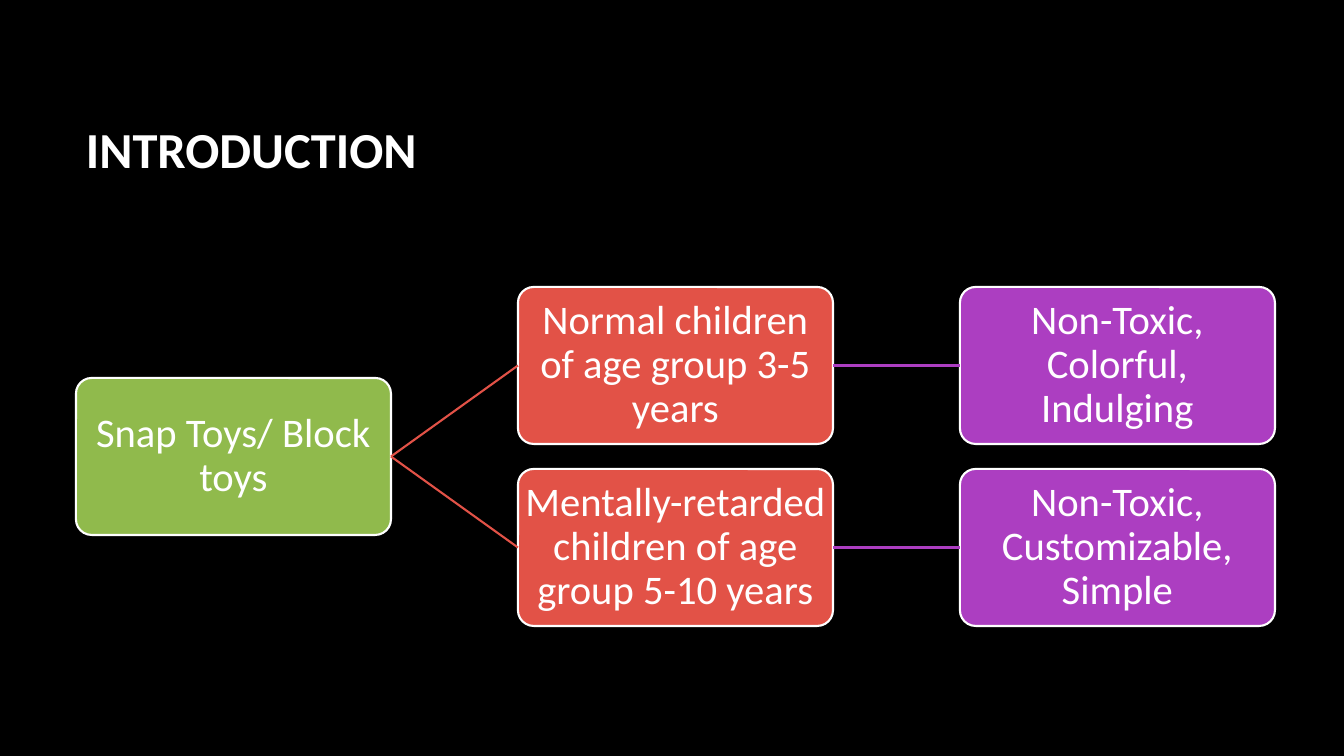
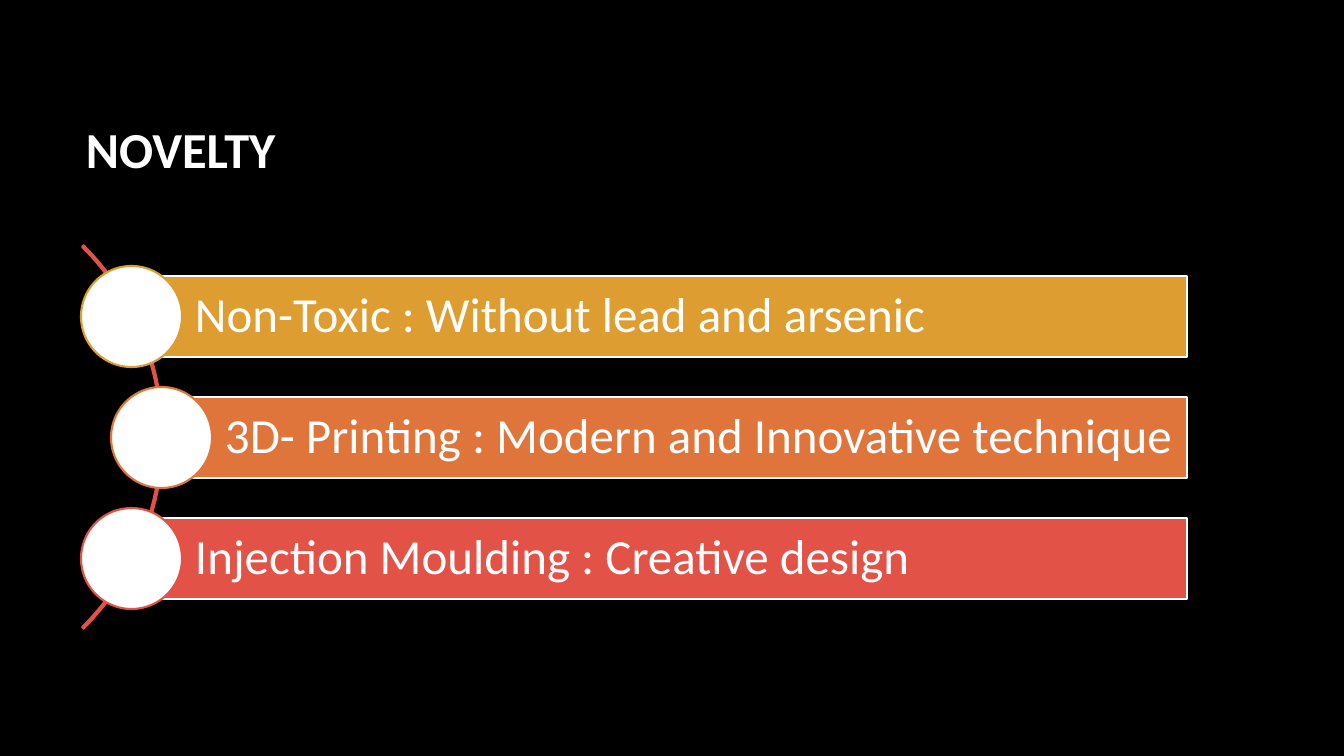
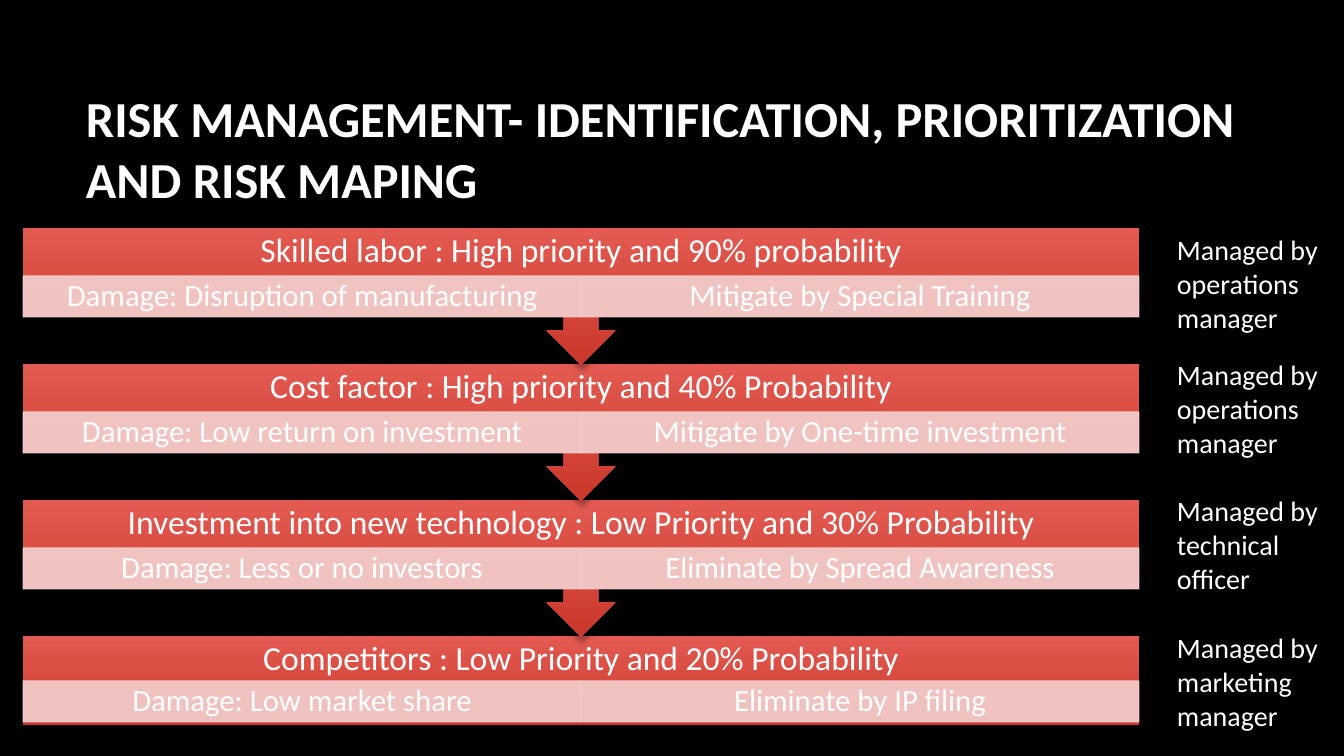
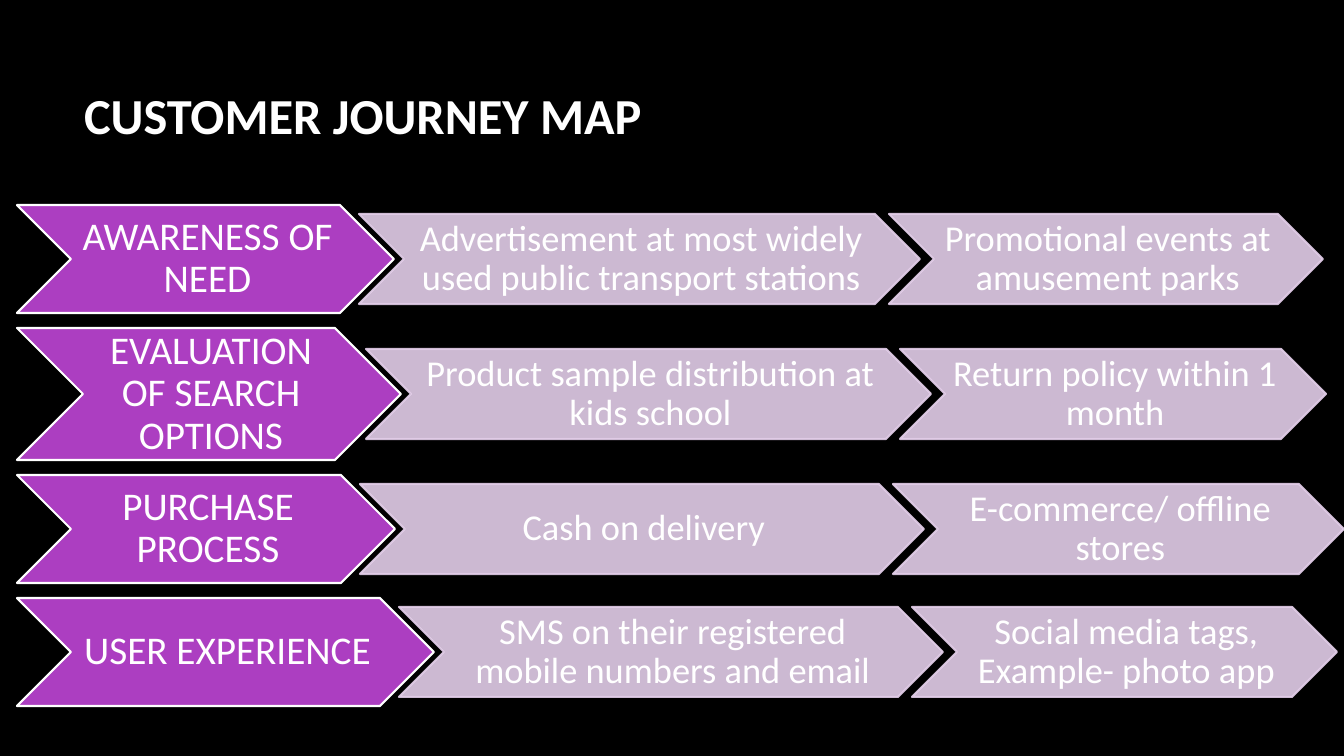
from lxml.etree import SubElement
from pptx import Presentation
from pptx.dml.color import RGBColor
from pptx.enum.shapes import MSO_CONNECTOR as Connector, MSO_SHAPE as Preset
from pptx.enum.text import MSO_ANCHOR as Anchor, MSO_AUTO_SIZE as AutoSize, PP_ALIGN as Align
from pptx.oxml.ns import qn
from pptx.util import Emu, Pt

FONT = "Calibri"
BLACK = RGBColor(0x00, 0x00, 0x00)
WHITE = RGBColor(0xFF, 0xFF, 0xFF)
GREEN = RGBColor(0x90, 0xBA, 0x4C)
RED = RGBColor(0xE2, 0x52, 0x47)
PURPLE = RGBColor(0xAC, 0x3E, 0xC1)
GOLD = RGBColor(0xDD, 0x9D, 0x31)
ORANGE = RGBColor(0xE0, 0x75, 0x3C)
LIGHT_RED = RGBColor(0xE3, 0x5A, 0x51)
DARK_RED = RGBColor(0xCB, 0x38, 0x2C)
PINK = RGBColor(0xF4, 0xD1, 0xCF)
LILAC = RGBColor(0xE3, 0xCE, 0xE9)
EMU_PER_INCH = 914400
PX_PER_INCH = 100.8
TITLE_BOX = (76, 68, 1117, 160)


def px(length):
    return Emu(round(length * EMU_PER_INCH / PX_PER_INCH))


def place(box):
    return [px(length) for length in box]


def write_text(shape, text, *, size, bold=False, align=Align.LEFT, anchor=Anchor.MIDDLE,
               insets=(10, 5, 10, 5), spacing=0.9):
    frame = shape.text_frame
    frame.word_wrap = True
    frame.auto_size = AutoSize.NONE
    frame.vertical_anchor = anchor
    frame.margin_left, frame.margin_top, frame.margin_right, frame.margin_bottom = place(insets)
    para = frame.paragraphs[0]
    para.alignment = align
    para.line_spacing = spacing
    span = para.add_run()
    span.text = text
    span.font.name = FONT
    span.font.size = Pt(size)
    span.font.bold = bold
    span.font.color.rgb = WHITE


def add_page(deck, title, box=TITLE_BOX):
    page = deck.slides.add_slide(deck.slide_layouts[5])
    heading = page.shapes.title
    heading.left, heading.top, heading.width, heading.height = place(box)
    write_text(heading, title, size=36, bold=True, spacing=1.0)
    return page


def add_preset(page, preset, box, *, fill=None, line=None, weight=1.5, opacity=100):
    shape = page.shapes.add_shape(preset, *place(box))
    shape.shadow.inherit = False
    if fill is None:
        shape.fill.background()
    else:
        shape.fill.solid()
        shape.fill.fore_color.rgb = fill
    if line is None:
        shape.line.fill.background()
    else:
        shape.line.color.rgb = line
        shape.line.width = Pt(weight)
    if opacity < 100:
        for colour in list(shape._element.spPr.iter(qn("a:srgbClr"))):
            SubElement(colour, qn("a:alpha"), val=str(opacity * 1000))
    return shape


def add_node(page, box, text, colour):
    node = add_preset(page, Preset.ROUNDED_RECTANGLE, box, fill=colour, line=WHITE)
    node.adjustments[0] = 0.1
    write_text(node, text, size=29, align=Align.CENTER, insets=(2, 2, 2, 2))
    return node


def add_branch(page, start, end, colour):
    branch = page.shapes.add_connector(Connector.STRAIGHT, 0, 0, 0, 0)
    branch.begin_connect(start, 3)
    branch.end_connect(end, 1)
    branch.line.color.rgb = colour
    branch.line.width = Pt(1.5)
    SubElement(branch._element.spPr, qn("a:effectLst"))


def add_tree(page, box, root_text, rows):
    left, top, width, height = box
    node_width, node_height = 315, 157
    column_step = (width - node_width) // 2
    row_step = (height - node_height) // (len(rows) - 1)

    def node_box(column, offset):
        return left + column * column_step, top + offset, node_width, node_height

    root = add_node(page, node_box(0, (height - node_height) // 2), root_text, GREEN)
    for index, (group_text, quality_text) in enumerate(rows):
        group = add_node(page, node_box(1, index * row_step), group_text, RED)
        quality = add_node(page, node_box(2, index * row_step), quality_text, PURPLE)
        add_branch(page, root, group, RED)
        add_branch(page, group, quality, PURPLE)


def add_arc_list(page, box, items):
    left, top, width, height = box
    circle, bar_height, arc_size = 101, 81, 542
    step = (height - circle) // (len(items) - 1)
    arc_box = (left - 460, top + (height - arc_size) // 2, arc_size, arc_size)
    arc = add_preset(page, Preset.BLOCK_ARC, arc_box, line=RED)
    for index, value in enumerate((189, 27, 0.004)):
        arc.adjustments[index] = value
    for index, (text, colour, indent) in enumerate(items):
        row_top = top + index * step
        bar_left = left + indent + circle // 2
        bar_box = (bar_left, row_top + (circle - bar_height) // 2, left + width - bar_left, bar_height)
        bar = add_preset(page, Preset.RECTANGLE, bar_box, fill=colour, line=WHITE, weight=2)
        write_text(bar, text, size=35, insets=(64, 10, 10, 10))
        add_preset(page, Preset.OVAL, (left + indent, row_top, circle, circle), fill=WHITE, line=colour)


def add_risk(page, box, risk, effects, *, is_last):
    left, top, width, height = box
    preset = Preset.RECTANGLE if is_last else Preset.DOWN_ARROW_CALLOUT
    panel_height = 89 if is_last else height
    panel = add_preset(page, preset, (left, top, width, panel_height), fill=RED)
    panel.fill.gradient()
    panel.fill.gradient_angle = 270
    for stop, colour in zip(panel.fill.gradient_stops, (LIGHT_RED, DARK_RED)):
        stop.color.rgb = colour
    effect_list = panel._element.spPr.find(qn("a:effectLst"))
    shadow = SubElement(effect_list, qn("a:outerShdw"), blurRad=str(Pt(4)), dist=str(Pt(3)),
                        dir="5400000", rotWithShape="0")
    shade = SubElement(shadow, qn("a:srgbClr"), val=str(BLACK))
    SubElement(shade, qn("a:alpha"), val="35000")
    write_text(panel, risk, size=24, align=Align.CENTER, insets=(19, 0, 19, 41))
    half = width // 2
    effect_top = top + (45 if is_last else 48)
    for index, effect in enumerate(effects):
        cell = add_preset(page, Preset.RECTANGLE, (left + index * half, effect_top, half, 41),
                          fill=PINK, line=PINK, weight=0.75, opacity=90)
        write_text(cell, effect, size=22, align=Align.CENTER, insets=(17, 3, 17, 3))


def add_risk_chain(page, box, risks):
    left, top, width, step = box
    for index, (risk, *effects) in reversed(list(enumerate(risks))):
        add_risk(page, (left, top + index * step, width, step + 1), risk, effects,
                 is_last=index == len(risks) - 1)


def add_owner(page, box, text):
    owner = page.shapes.add_textbox(*place(box))
    write_text(owner, text, size=20, anchor=Anchor.TOP, spacing=1.0)


def add_chevron(page, box, text, *, size, fill, line, opacity=100):
    chevron = add_preset(page, Preset.CHEVRON, box, fill=fill, line=line, opacity=opacity)
    write_text(chevron, text, size=size, align=Align.CENTER, insets=(4, 2, 0, 2))


def add_journey_row(page, box, texts, widths):
    left, top, stage_width, height = box
    add_chevron(page, box, texts[0], size=28, fill=PURPLE, line=WHITE)
    step_height = 90
    step_top = top + (height - step_height) // 2
    edge = left + stage_width
    for text, width, overlap in zip(texts[1:], widths, (35, 31)):
        add_chevron(page, (edge - overlap, step_top, width, step_height), text,
                    size=26, fill=LILAC, line=LILAC, opacity=90)
        edge += width - overlap


def build_introduction(deck):
    page = add_page(deck, "INTRODUCTION")
    add_tree(page, (76, 287, 1199, 339), "Snap Toys/ Block toys", [
        ("Normal children of age group 3-5 years", "Non-Toxic, Colorful, Indulging"),
        ("Mentally-retarded children of age group 5-10 years", "Non-Toxic, Customizable, Simple"),
    ])


def build_novelty(deck):
    page = add_page(deck, "NOVELTY")
    add_arc_list(page, (81, 266, 1106, 343), [
        ("Non-Toxic : Without lead and arsenic", GOLD, 0),
        ("3D- Printing : Modern and Innovative technique", ORANGE, 30),
        ("Injection Moulding : Creative design", RED, 0),
    ])


def build_risks(deck):
    page = add_page(deck, "RISK MANAGEMENT- IDENTIFICATION, PRIORITIZATION AND RISK MAPING",
                    (76, 68, 1235, 160))
    add_risk_chain(page, (23, 228, 1116, 136), [
        ("Skilled labor : High priority and 90% probability",
         "Damage: Disruption of manufacturing", "Mitigate by Special Training"),
        ("Cost factor : High priority and 40% Probability",
         "Damage: Low return on investment", "Mitigate by One-time investment"),
        ("Investment into new technology : Low Priority and 30% Probability",
         "Damage: Less or no investors", "Eliminate by Spread Awareness"),
        ("Competitors : Low Priority and 20% Probability",
         "Damage: Low market share", "Eliminate by IP filing"),
    ])
    owners = ("operations manager", "operations manager", "technical officer", "marketing manager")
    for top, owner in zip((228, 353, 489, 626), owners):
        add_owner(page, (1167, top, 177, 112), f"Managed by {owner}")


def build_journey(deck):
    page = add_page(deck, "CUSTOMER JOURNEY MAP", (74, 34, 1117, 160))
    rows = [
        (108, (377, 561, 434), ("AWARENESS OF NEED",
                                "Advertisement at most widely used public transport stations",
                                "Promotional events at amusement parks")),
        (132, (384, 565, 426), ("EVALUATION OF SEARCH OPTIONS",
                                "Product sample distribution at kids school",
                                "Return policy within 1 month")),
        (108, (378, 564, 451), ("PURCHASE PROCESS", "Cash on delivery",
                                "E-commerce/ offline stores")),
        (108, (417, 544, 425), ("USER EXPERIENCE",
                                "SMS on their registered mobile numbers and email",
                                "Social media tags, Example- photo app")),
    ]
    top, gap = 205, 15
    for height, (stage_width, *step_widths), texts in rows:
        add_journey_row(page, (17, top, stage_width, height), texts, step_widths)
        top += height + gap


def main():
    deck = Presentation()
    deck.slide_width, deck.slide_height = px(1344), px(756)
    backdrop = deck.slide_master.background.fill
    backdrop.solid()
    backdrop.fore_color.rgb = BLACK
    for build in (build_introduction, build_novelty, build_risks, build_journey):
        build(deck)
    deck.save("out.pptx")


if __name__ == "__main__":
    main()
